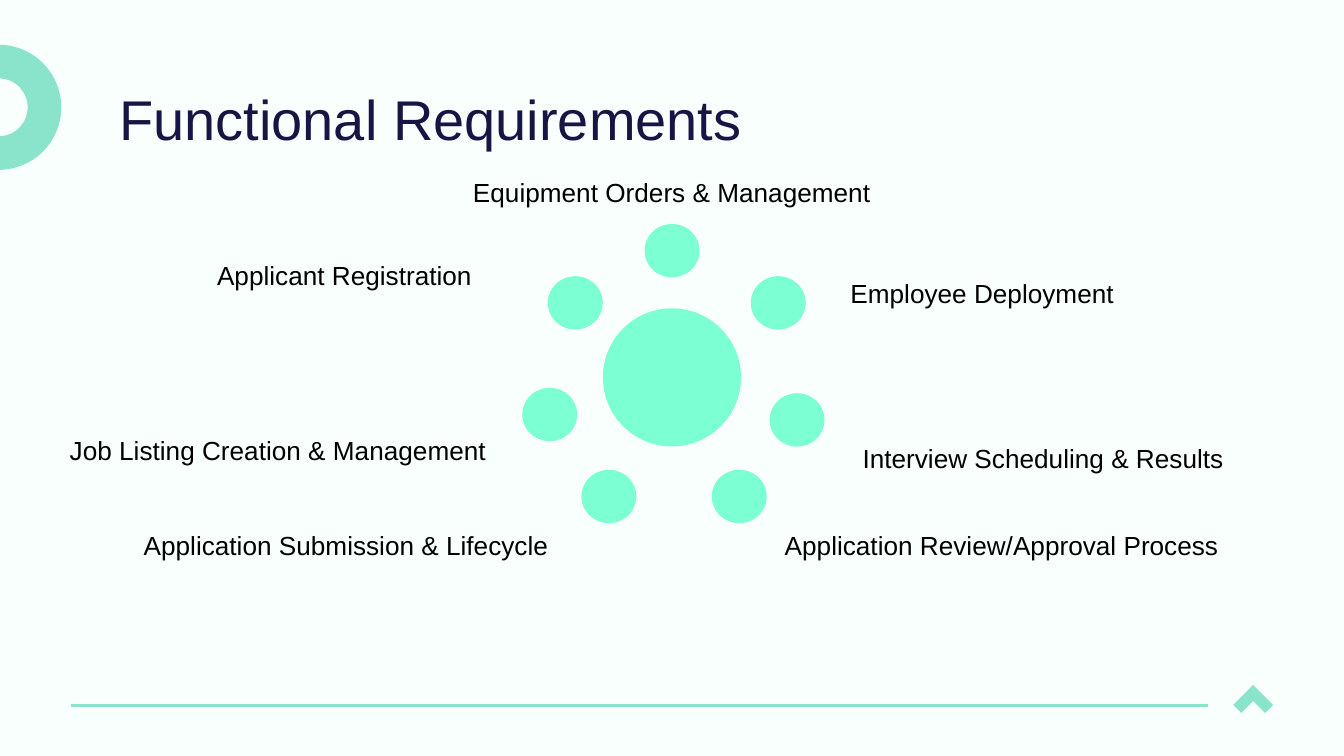
from lxml.etree import SubElement
from pptx import Presentation
from pptx.dml.color import RGBColor
from pptx.enum.shapes import MSO_CONNECTOR, MSO_SHAPE
from pptx.enum.text import MSO_ANCHOR, MSO_AUTO_SIZE, PP_ALIGN
from pptx.oxml.ns import qn
from pptx.util import Pt

MINT = "7BFFD3"
TEAL = "89E4CB"
NAVY = "161644"
BLACK = "000000"
PAPER = "F9FFFD"

DOTS = [
    (346.3, 121), (403.2, 149), (413.3, 211.7), (382.3, 252.7),
    (312.5, 252.7), (280.8, 208.8), (294.5, 149),
]
LABELS = [
    ("Equipment Orders & Management", 242.6, 90.9, 234.7, PP_ALIGN.CENTER),
    ("Employee Deployment", 448.5, 145, 258.5, PP_ALIGN.LEFT),
    ("Interview Scheduling & Results", 455, 233.2, 258.5, PP_ALIGN.LEFT),
    ("Application Review/Approval Process", 413.3, 280.3, 258.5, PP_ALIGN.LEFT),
    ("Application Submission & Lifecycle", 69.9, 280.3, 242.6, PP_ALIGN.LEFT),
    ("Job Listing Creation & Management", 30.3, 229, 242.6, PP_ALIGN.LEFT),
    ("Applicant Registration", 109.2, 135.7, 167, PP_ALIGN.LEFT),
]


def color(code):
    return RGBColor.from_string(code)


def apply(item, form):
    for name, value in form.items():
        setattr(item, name, value)


class Deck:
    font = "Arial"

    def __init__(self, slide):
        self.slide = slide

    def back(self, code):
        fill = self.slide.background.fill
        fill.solid()
        fill.fore_color.rgb = color(code)

    def shape(self, kind, box, fill=None, edge=None, width=0, turn=0):
        item = self.slide.shapes.add_shape(kind, *map(Pt, box))
        item.shadow.inherit = False
        item.rotation = turn
        if fill:
            item.fill.solid()
            item.fill.fore_color.rgb = color(fill)
        else:
            item.fill.background()
        if edge:
            item.line.color.rgb = color(edge)
            item.line.width = Pt(width)
        else:
            item.line.fill.background()
        return item

    def dot(self, box):
        return self.shape(MSO_SHAPE.OVAL, box, MINT, MINT, 2)

    def rule(self, start, end, code, width):
        item = self.slide.shapes.add_connector(
            MSO_CONNECTOR.STRAIGHT, *map(Pt, start + end))
        item.line.color.rgb = color(code)
        item.line.width = Pt(width)
        SubElement(item._element.spPr, qn("a:effectLst"))

    def text(self, words, box, size, code, align=PP_ALIGN.LEFT, pads=(7.2, 3.6)):
        frame = self.slide.shapes.add_textbox(*map(Pt, box)).text_frame
        side, top = map(Pt, pads)
        apply(frame, {
            "word_wrap": True, "auto_size": MSO_AUTO_SIZE.NONE,
            "vertical_anchor": MSO_ANCHOR.TOP,
            "margin_left": side, "margin_right": side,
            "margin_top": top, "margin_bottom": Pt(3.6),
        })
        line = frame.paragraphs[0]
        line.alignment = align
        run = line.add_run()
        run.text = words
        apply(run.font, {"name": self.font, "size": Pt(size)})
        run.font.color.rgb = color(code)


def main():
    show = Presentation()
    apply(show, {"slide_width": Pt(720), "slide_height": Pt(405)})
    deck = Deck(show.slides.add_slide(show.slide_layouts[6]))
    deck.back(PAPER)

    arrow = deck.shape(MSO_SHAPE.CORNER, (663.8, 370.1, 15.1, 15.1), TEAL, turn=135)
    arrow.adjustments[0] = 0.4
    arrow.adjustments[1] = 0.4
    deck.rule((647.3, 378), (38.2, 378), TEAL, 1.5)
    deck.shape(MSO_SHAPE.OVAL, (-25.2, 33, 49, 49), edge=TEAL, width=18)

    deck.text("Functional Requirements", (56.9, 35.3, 607, 45.4), 30, NAVY,
              pads=(7.2, 9.9))
    deck.dot((324, 166.2, 72, 72))
    for left, top in DOTS:
        deck.dot((left, top, 27.4, 26.6))
    for words, left, top, width, align in LABELS:
        deck.text(words, (left, top, width, 24.5), 14, BLACK, align)

    show.save("out.pptx")


if __name__ == "__main__":
    main()
